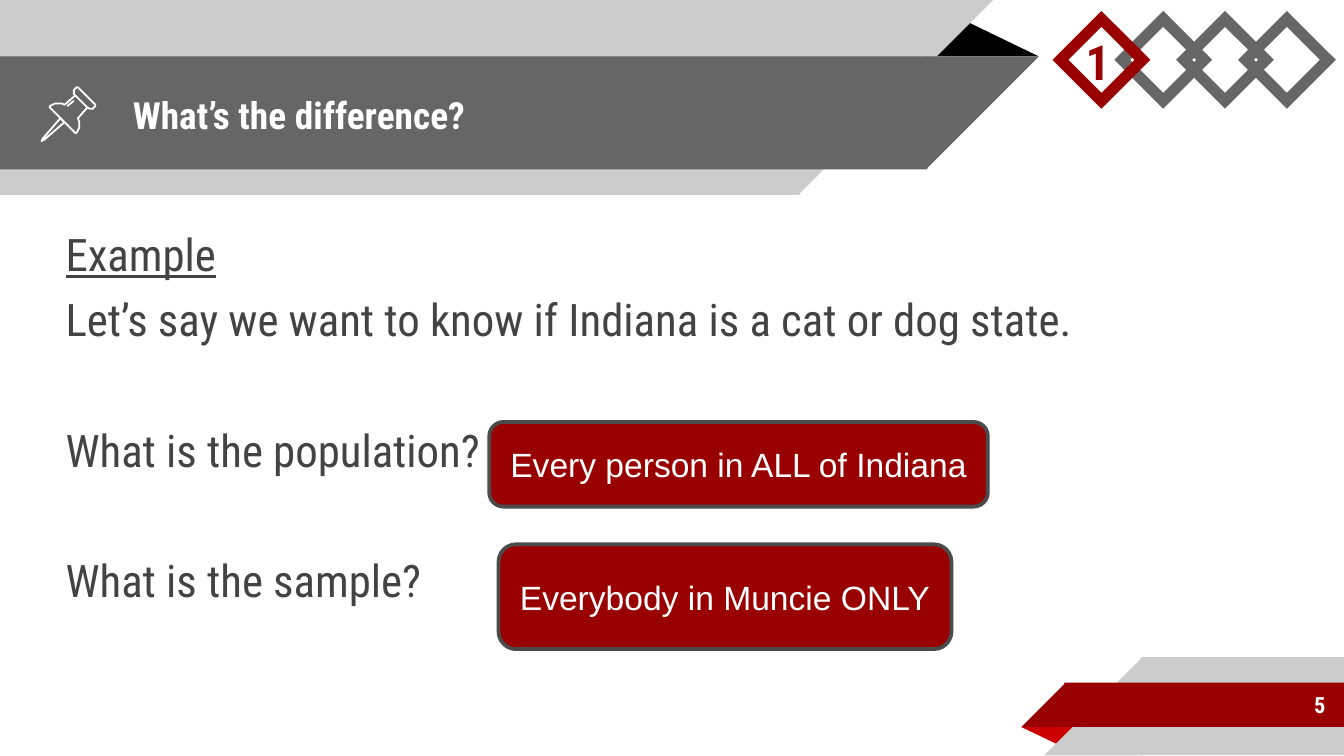
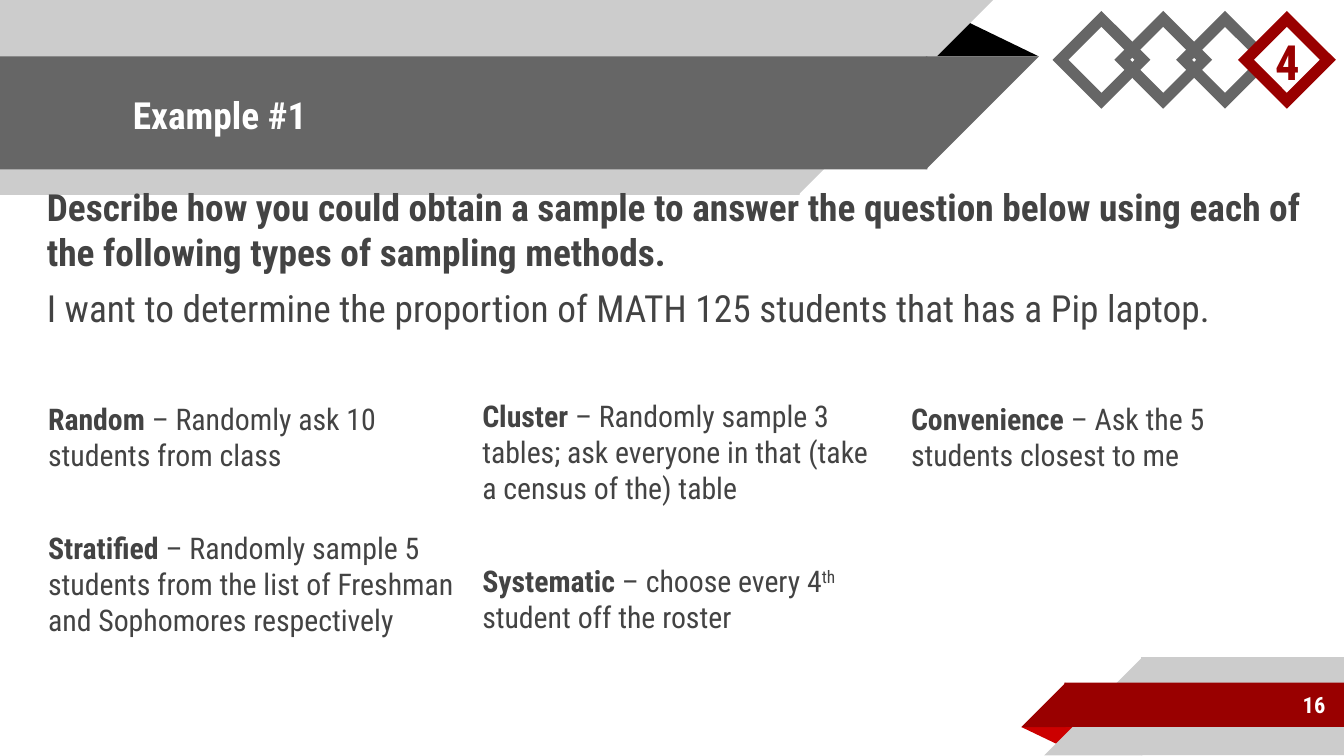
import lxml.etree
import pptx
import pptx.util
import pptx.dml.color
import pptx.enum.shapes
import pptx.enum.text
import pptx.oxml.ns

Inches, Pt = pptx.util.Inches, pptx.util.Pt
RGB = pptx.dml.color.RGBColor.from_string
KIND = pptx.enum.shapes.MSO_SHAPE
ALIGN = pptx.enum.text.PP_ALIGN
ANCHOR = pptx.enum.text.MSO_ANCHOR
FONT = "Roboto Condensed"
HUE = {"red": "990000", "bright": "CC0000", "dark": "666666", "pale": "CCCCCC",
       "black": "000000", "white": "FFFFFF", "ink": "434343", "edge": "4B4B4B"}

deck = pptx.Presentation()
deck.slide_width, deck.slide_height = Pt(720), Pt(405)


def style(shape, fill=None, line=None, width=1):
    """Set fill and outline, where None means none."""
    shape.shadow.inherit = False
    if fill:
        shape.fill.solid()
        shape.fill.fore_color.rgb = RGB(HUE[fill])
    else:
        shape.fill.background()
    if line:
        shape.line.color.rgb = RGB(HUE[line])
        shape.line.width = Pt(width)
    else:
        shape.line.fill.background()


def write(shape, paras, size=16, color="ink", font=FONT, bold=False, align=ALIGN.LEFT,
          anchor=ANCHOR.TOP, pad=0.1, indent=0, gaps=()):
    """Fill a shape with paragraphs, each a list of (words, marks) runs.

    Marks: b bold, u underline, s superscript.
    """
    frame = shape.text_frame
    frame.word_wrap = True
    frame.vertical_anchor = anchor
    frame.margin_left = frame.margin_right = Inches(0.1)
    frame.margin_top = frame.margin_bottom = Inches(pad)
    for n, runs in enumerate(paras):
        para = frame.add_paragraph() if n else frame.paragraphs[0]
        para.alignment = align
        if gaps:
            para.space_before = Pt(gaps[n])
        if indent:
            props = para._p.get_or_add_pPr()
            props.set("marL", str(Inches(indent)))
            props.set("indent", "0")
        for words, marks in runs:
            run = para.add_run()
            run.text = words
            run.font.name, run.font.size = font, Pt(size)
            run.font.color.rgb = RGB(HUE[color])
            run.font.bold = bold or "b" in marks
            run.font.underline = "u" in marks
            if "s" in marks:
                run._r.get_or_add_rPr().set("baseline", "30000")


# Shared bands: kind, box, colour, turn; rectangles reach just under their triangles
BANDS = [
    (KIND.ISOSCELES_TRIANGLE, (7.6, 5.41, 0.43, 0.14), "bright", 180),
    (KIND.RECTANGLE, (8.49, 4.89, 1.51, 0.73), "pale", 0),
    (KIND.RIGHT_TRIANGLE, (7.77, 4.89, 0.73, 0.73), "pale", 270),
    (KIND.RECTANGLE, (7.92, 5.08, 2.08, 0.33), "red", 0),
    (KIND.RIGHT_TRIANGLE, (7.6, 5.08, 0.33, 0.33), "red", 270),
    (KIND.ISOSCELES_TRIANGLE, (6.88, 0.14, 0.85, 0.28), "black", 0),
    (KIND.RECTANGLE, (0, 0, 5.95, 1.45), "pale", 0),
    (KIND.RIGHT_TRIANGLE, (5.94, 0, 1.45, 1.45), "pale", 90),
    (KIND.RECTANGLE, (0, 0.42, 6.9, 0.84), "dark", 0),
    (KIND.RIGHT_TRIANGLE, (6.89, 0.42, 0.84, 0.84), "dark", 90),
]

# Per slide: title, page, active step, stacking of the diamonds, number left and width
PAGES = [
    ("What’s the difference?", "5", 0, (1, 0, 3, 2), 7.98, 0.56),
    ("Example #1", "16", 3, (1, 0, 2, 3), 9.39, 0.43),
]

# Body texts per slide: box, size, space before each paragraph, paragraphs
BODIES = [
    [((0.31, 1.59, 9.37, 3.52), 24, (6, 6, 41, 41), [
        [("Example", "u")],
        [("Let’s say we want to know if Indiana is a cat or dog state.", "")],
        [("What is the population?", "")],
        [("What is the sample?", "")]])],
    [((0.17, 1.27, 9.65, 3.44), 20, (6, 6), [
        [("Describe how you could obtain a sample to answer the question below "
          "using each of the following types of sampling methods.", "b")],
        [("I want to determine the proportion of MATH 125 students "
          "that has a Pip laptop.", "")]]),
     ((0.18, 2.88, 3.46, 2.54), 16, (6, 31), [
         [("Random", "b"), (" – Randomly ask 10 students from class", "")],
         [("Stratified", "b"), (" – Randomly sample 5 students from the list of "
                                "Freshman and Sophomores respectively", "")]]),
     ((3.41, 2.86, 3.21, 2.54), 16, (6, 31), [
         [("Cluster", "b"), (" – Randomly sample 3 tables; ask everyone in that "
                             "(take a census of the) table", "")],
         [("Systematic", "b"), (" – choose every 4", ""), ("th", "s"),
          (" student off the roster", "")]]),
     ((6.6, 2.88, 3.22, 2.54), 16, (6,), [
         [("Convenience", "b"), (" – Ask the 5 students closest to me", "")]])],
]

for (title, page, step, order, left, wide), bodies in zip(PAGES, BODIES):
    slide = deck.slides.add_slide(deck.slide_layouts[6])
    shapes = slide.shapes

    # Bands
    for kind, box, color, turn in BANDS:
        band = shapes.add_shape(kind, *map(Inches, box))
        style(band, color)
        band.rotation = turn
        if kind == KIND.ISOSCELES_TRIANGLE:
            band.adjustments[0] = 0.32

    # Title and page number
    head = shapes.add_textbox(*map(Inches, (0.89, 0.43, 6.01, 0.84)))
    write(head, [[(title, "")]], size=20, color="white", bold=True, anchor=ANCHOR.MIDDLE)
    foot = shapes.add_textbox(*map(Inches, (8.33, 5.07, 1.63, 0.35)))
    write(foot, [[(page, "")]], size=12, color="white", bold=True,
          align=ALIGN.RIGHT, anchor=ANCHOR.MIDDLE)

    # Body texts
    for box, size, gaps, paras in bodies:
        body = shapes.add_textbox(*map(Inches, box))
        write(body, paras, size=size, indent=0.08, gaps=gaps)

    # Step diamonds with sharp corners, and the active number
    for n in order:
        gem = shapes.add_shape(KIND.DIAMOND, Inches(7.89 + 0.46 * n), Inches(0.14),
                               Inches(0.61), Inches(0.61))
        style(gem, "white" if n % 2 else None, "red" if n == step else "dark", 6)
        edge = gem._element.spPr.find(pptx.oxml.ns.qn("a:ln"))
        lxml.etree.SubElement(edge, pptx.oxml.ns.qn("a:miter")).set("lim", "800000")
    mark = shapes.add_textbox(*map(Inches, (left, 0.05, wide, 0.72)))
    write(mark, [[(str(step + 1), "")]], size=26, color="red", bold=True,
          anchor=ANCHOR.BOTTOM)

# Pin icon on the first slide: closed or open, then points in hundredths of an inch
shapes = deck.slides[0].shapes
PIN = [
    (True, [(45, 88), (32, 103), (31, 105), (33, 104), (48, 91)]),
    (True, [(56, 71), (65, 80), (67, 81), (69, 81), (70, 80), (71, 79), (71, 78),
            (58, 65), (57, 65), (56, 66), (55, 67), (55, 70)]),
    (False, [(56, 71), (48, 78), (46, 77), (41, 77), (39, 78), (37, 79), (37, 80),
             (38, 81), (55, 98), (56, 99), (57, 99), (58, 97), (59, 95), (59, 91),
             (58, 88), (65, 80)]),
    (False, [(50, 79), (55, 75)]),
]
for closed, points in PIN:
    pen = shapes.build_freeform(*points[0], scale=Inches(0.01))
    pen.add_line_segments(points[1:], close=closed)
    style(pen.convert_to_shape(), None, "white", 0.96)

# Answers on the first slide
for box, words in [((3.64, 3.14, 3.71, 0.63), "Every person in ALL of Indiana"),
                   ((3.71, 4.05, 3.37, 0.78), "Everybody in Muncie ONLY")]:
    card = shapes.add_shape(KIND.ROUNDED_RECTANGLE, *map(Inches, box))
    style(card, "red", "edge", 2)
    write(card, [[(words, "")]], size=18, color="white", font="Arial",
          align=ALIGN.CENTER, anchor=ANCHOR.MIDDLE, pad=0.05)

deck.save("out.pptx")
